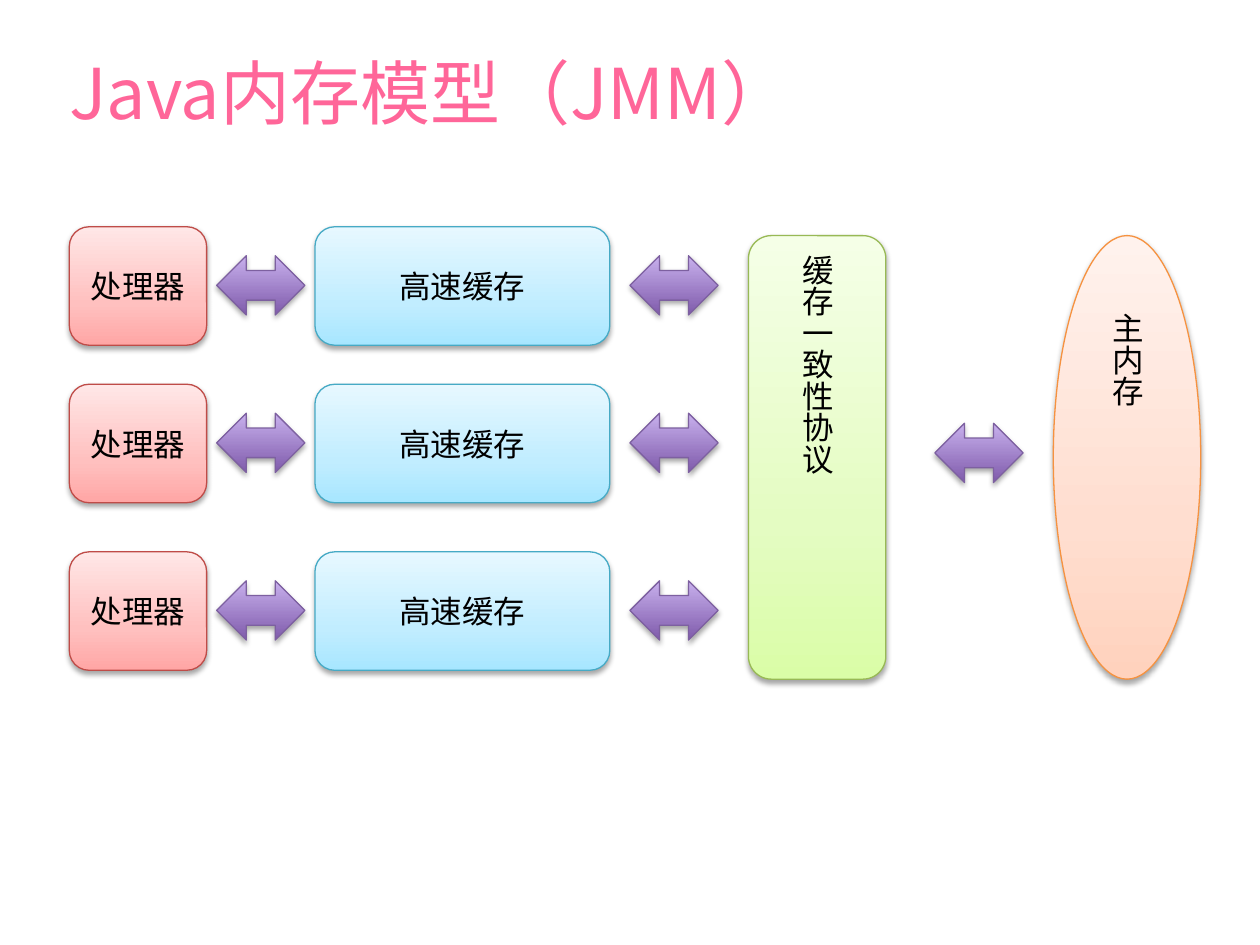
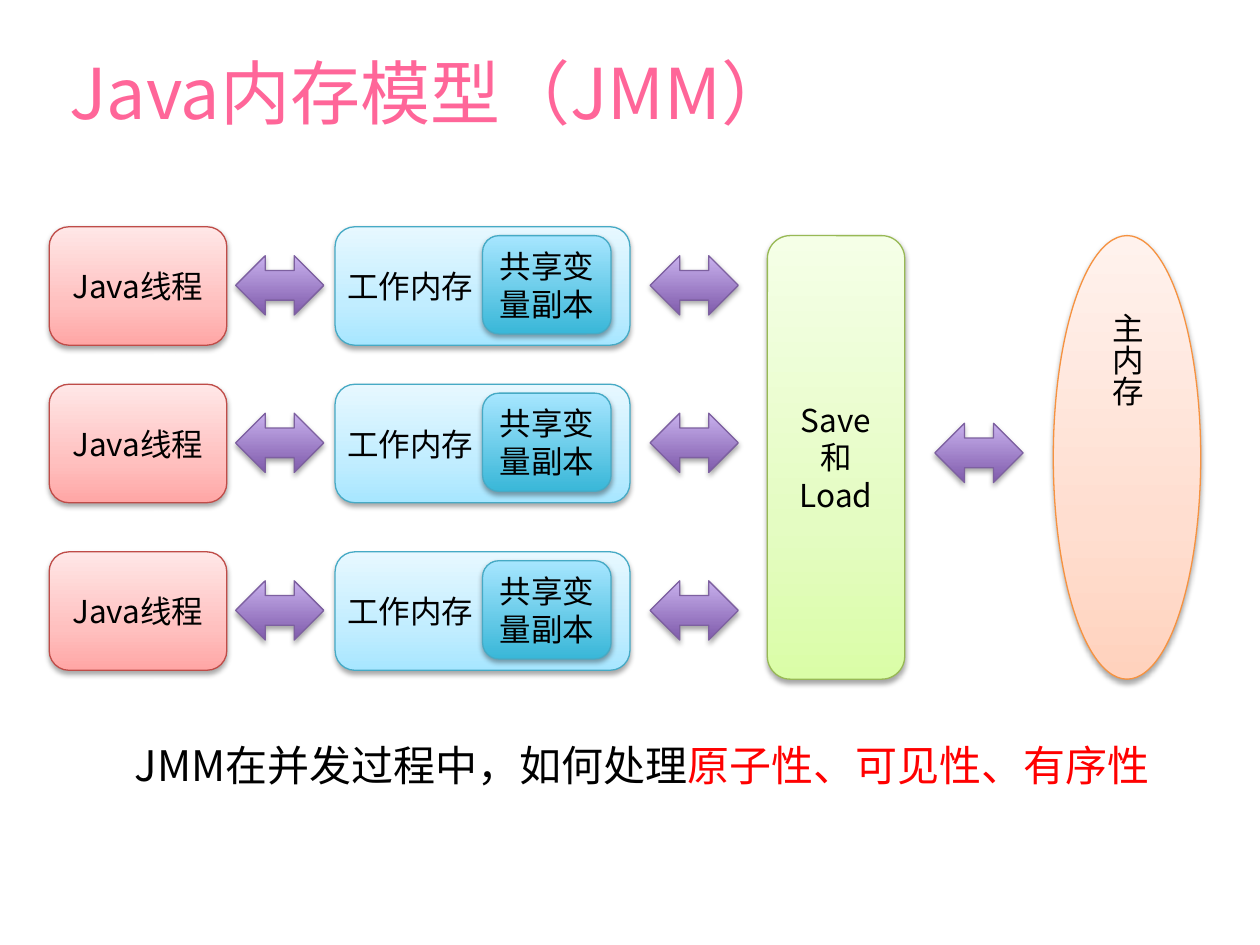
import copy
from dataclasses import dataclass
from typing import Optional

import lxml.etree
import pptx
import pptx.dml.color
import pptx.enum.shapes
import pptx.enum.text
import pptx.oxml.ns
import pptx.util

RGB = pptx.dml.color.RGBColor
KIND = pptx.enum.shapes.MSO_SHAPE
ALIGN = pptx.enum.text.PP_ALIGN
ANCHOR = pptx.enum.text.MSO_ANCHOR
FIT = pptx.enum.text.MSO_AUTO_SIZE
qn = pptx.oxml.ns.qn

SCALE = 9144
INSET = 5
FACE = "Noto Sans CJK SC"
TITLE = "Java内存模型（JMM）"

PINK = RGB(0xFF, 0x66, 0x99)
BLACK = RGB(0, 0, 0)
RED = RGB(0xFF, 0, 0)


@dataclass(frozen=True)
class Look:
    stops: tuple[tuple[float, RGB], ...]
    edge: RGB


def blend(low: RGB, mid: RGB, high: RGB, edge: RGB) -> Look:
    return Look(((0, low), (0.35, mid), (1, high)), edge)


TEAL = RGB(0x46, 0xAA, 0xC5)
SKY = RGB(0xA7, 0xE6, 0xFF)
ROSE_LOOK = blend(RGB(0xFF, 0xA6, 0xA5), RGB(0xFF, 0xC0, 0xBF),
                  RGB(0xFF, 0xE7, 0xE7), RGB(0xBF, 0x4C, 0x48))
SKY_LOOK = blend(SKY, RGB(0xC1, 0xED, 0xFF), RGB(0xE7, 0xF8, 0xFF), TEAL)
LIME_LOOK = blend(RGB(0xDA, 0xFD, 0xA7), RGB(0xE4, 0xFC, 0xC2),
                  RGB(0xF5, 0xFF, 0xE7), RGB(0x98, 0xB9, 0x55))
PEACH_LOOK = blend(RGB(0xFF, 0xD2, 0xBD), RGB(0xFF, 0xDE, 0xD0),
                   RGB(0xFF, 0xF2, 0xED), RGB(0xF6, 0x92, 0x40))
PLUM_LOOK = Look(((0, RGB(0x7F, 0x5B, 0xAB)), (1, RGB(0xC8, 0xB0, 0xED))),
                 RGB(0x7D, 0x60, 0xA0))
DEEP_LOOK = Look(((0, RGB(0x39, 0xB7, 0xD8)), (1, SKY)), TEAL)

ROWS = (180, 305, 438)
ROW_HIGH = 94
ARROW_WIDE, ARROW_HIGH = 70, 47
ARROW_DROP = 23
SHARE_DROP = 7
POST_TOP, POST_HIGH = 187, 352


@dataclass(frozen=True)
class Box:
    left: int
    wide: int
    look: Look
    text: str
    align: ALIGN = ALIGN.CENTER
    upright: bool = False
    kind: KIND = KIND.ROUNDED_RECTANGLE
    fit: Optional[FIT] = None


@dataclass(frozen=True)
class Page:
    core: Box
    cache: Box
    post: Box
    arrows: tuple[int, int]
    share: Optional[Box] = None


STORE = Box(836, 117, PEACH_LOOK, "主内存", upright=True, kind=KIND.OVAL)
PAGES = (
    Page(
        core=Box(55, 109, ROSE_LOOK, "处理器"),
        cache=Box(250, 234, SKY_LOOK, "高速缓存"),
        post=Box(594, 109, LIME_LOOK, "缓存一致性协议", upright=True),
        arrows=(172, 500),
    ),
    Page(
        core=Box(39, 141, ROSE_LOOK, "Java线程"),
        cache=Box(266, 234, SKY_LOOK, "工作内存", align=ALIGN.LEFT),
        post=Box(609, 109, LIME_LOOK, "Save\n和\nLoad"),
        arrows=(187, 516),
        share=Box(383, 102, DEEP_LOOK, "共享变量副本",
                  fit=FIT.SHAPE_TO_FIT_TEXT),
    ),
)


def px(size: int) -> pptx.util.Emu:
    return pptx.util.Emu(size * SCALE)


def pad(frame) -> None:
    frame.margin_left = frame.margin_right = px(INSET)
    frame.margin_top = frame.margin_bottom = px(INSET)
    frame.word_wrap = True


def style(para, size: int, color: Optional[RGB], align: ALIGN) -> None:
    para.alignment = align
    font = para.font
    font.size = pptx.util.Pt(size)
    font.name = FACE
    if color is not None:
        font.color.rgb = color
    props = para._p.pPr.find(qn("a:defRPr"))
    lxml.etree.SubElement(props, qn("a:ea"), typeface=FACE)


def paint(shape, look: Look) -> None:
    fill = shape.fill
    fill.gradient()
    fill.gradient_angle = 90
    stops = shape._element.spPr.find(".//" + qn("a:gsLst"))
    for _ in look.stops[2:]:
        stops.append(copy.deepcopy(stops[0]))
    for stop, (place, color) in zip(fill.gradient_stops, look.stops):
        stop.position = place
        stop.color.rgb = color
    shape.line.color.rgb = look.edge
    shape.line.width = pptx.util.Pt(0.75)


def shade(shape) -> None:
    shape.shadow.inherit = False
    effects = shape._element.spPr.find(qn("a:effectLst"))
    outer = lxml.etree.SubElement(
        effects, qn("a:outerShdw"), blurRad=str(pptx.util.Pt(3)),
        dist=str(pptx.util.Pt(1.8)), dir="5400000", rotWithShape="0")
    color = lxml.etree.SubElement(outer, qn("a:srgbClr"), val=str(BLACK))
    lxml.etree.SubElement(color, qn("a:alpha"), val="35000")


def form(slide, kind: KIND, look: Look,
         left: int, top: int, wide: int, high: int):
    shape = slide.shapes.add_shape(kind, px(left), px(top), px(wide), px(high))
    paint(shape, look)
    shade(shape)
    return shape


def draw(slide, box: Box, top: int, high: int) -> None:
    shape = form(slide, box.kind, box.look, box.left, top, box.wide, high)
    frame = shape.text_frame
    pad(frame)
    frame.vertical_anchor = ANCHOR.MIDDLE
    if box.fit is not None:
        frame.auto_size = box.fit
    if box.upright:
        frame._txBody.bodyPr.set("vert", "eaVert")
    frame.text = box.text
    for para in frame.paragraphs:
        style(para, 18, BLACK, box.align)


def arrow(slide, left: int, top: int) -> None:
    form(slide, KIND.LEFT_RIGHT_ARROW, PLUM_LOOK,
         left, top, ARROW_WIDE, ARROW_HIGH)


def head(slide) -> None:
    title = slide.shapes.title
    title.left, title.top = px(50), px(0)
    title.width, title.height = px(900), px(145)
    frame = title.text_frame
    pad(frame)
    frame.vertical_anchor = ANCHOR.MIDDLE
    frame.text = TITLE
    style(frame.paragraphs[0], 40, PINK, ALIGN.LEFT)


def build(deck, page: Page):
    slide = deck.slides.add_slide(deck.slide_layouts[5])
    head(slide)
    for box in (page.core, page.cache):
        for top in ROWS:
            draw(slide, box, top, ROW_HIGH)
    for box in (page.post, STORE):
        draw(slide, box, POST_TOP, POST_HIGH)
    for left in page.arrows:
        for top in ROWS:
            arrow(slide, left, top + ARROW_DROP)
    arrow(slide, 742, 336)
    if page.share is not None:
        for top in ROWS:
            draw(slide, page.share, top + SHARE_DROP, 78)
    return slide


def ask(slide) -> None:
    frame = slide.shapes.add_textbox(
        px(102), px(582), px(883), px(50)).text_frame
    pad(frame)
    frame.auto_size = FIT.SHAPE_TO_FIT_TEXT
    para = frame.paragraphs[0]
    style(para, 24, None, ALIGN.LEFT)
    for text, color in (("JMM在并发过程中，如何处理", BLACK),
                        ("原子性、可见性、有序性", RED)):
        run = para.add_run()
        run.text = text
        run.font.color.rgb = color


def main() -> None:
    deck = pptx.Presentation()
    deck.slide_width, deck.slide_height = px(1000), px(750)
    slides = [build(deck, page) for page in PAGES]
    ask(slides[-1])
    deck.save("out.pptx")


if __name__ == "__main__":
    main()
